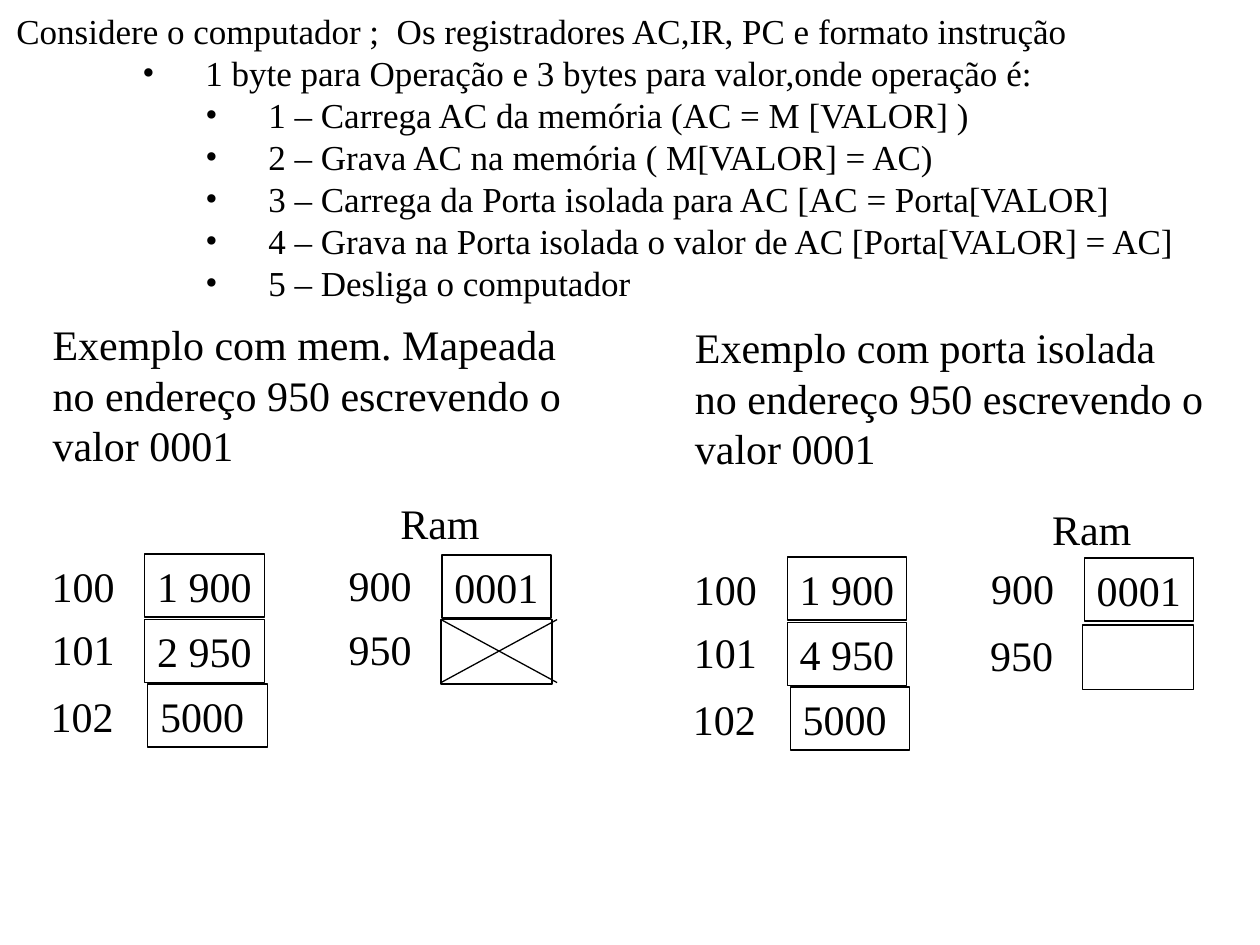
import pptx
import pptx.dml.color
import pptx.enum.shapes
import pptx.enum.text
import pptx.oxml
import pptx.oxml.ns
import pptx.util

Cm = pptx.util.Cm
SHAPES = pptx.enum.shapes.MSO_SHAPE
FONT = "Times New Roman"
INK, PAPER = "000000", "FFFFFF"

# Content: (level, text) for the instruction set
INSTRUCTIONS = [
    (0, "Considere o computador ;  Os registradores AC,IR, PC e formato instrução"),
    (2, "1 byte para Operação e 3 bytes para valor,onde operação é:"),
    (3, "1 – Carrega AC da memória (AC = M [VALOR] )"),
    (3, "2 – Grava AC na memória ( M[VALOR] = AC)"),
    (3, "3 – Carrega da Porta isolada para AC [AC = Porta[VALOR]"),
    (3, "4 – Grava na Porta isolada o valor de AC [Porta[VALOR] = AC]"),
    (3, "5 – Desliga o computador"),
]

# Each example: origin shift, then the places of its free parts, in cm
EXAMPLES = [
    {"title": "Exemplo com mem. Mapeada", "store": "2 950", "shift": (0, 0),
     "ram": (7.82, 9.89), "port_label": (6.78, 12.44), "port": (8.89, 12.49),
     "crossed": True},
    {"title": "Exemplo com porta isolada", "store": "4 950", "shift": (12.95, 0.06),
     "ram": (20.96, 10.02), "port_label": (19.71, 12.57), "port": (21.82, 12.6),
     "crossed": False},
]
TITLE_REST = ["no endereço 950 escrevendo o", "valor 0001"]

ROW_HEIGHT, LABEL_WIDTH = 1.27, 1.78
CELL_WIDTH, RAM_WIDTH = 2.41, 2.2
PORT_WIDTH, PORT_HEIGHT = 2.24, 1.3
CROSS_WIDTH = 2.34

deck = pptx.Presentation()
deck.slide_width, deck.slide_height = Cm(25.4), Cm(19.05)
page = deck.slides.add_slide(deck.slide_layouts[6])


def color(value):
    return pptx.dml.color.RGBColor.from_string(value)


def set_line(item):
    item.line.color.rgb = color(INK)
    item.line.width = pptx.util.Pt(0.75)


def write(box, lines, size=24, wrap=False):
    """Fill a box with left-aligned lines and return its paragraphs."""
    frame = box.text_frame
    formats = {
        "word_wrap": wrap,
        "auto_size": pptx.enum.text.MSO_AUTO_SIZE.SHAPE_TO_FIT_TEXT,
        "vertical_anchor": pptx.enum.text.MSO_ANCHOR.TOP,
        "margin_left": Cm(0.25), "margin_right": Cm(0.25),
        "margin_top": Cm(0.13), "margin_bottom": Cm(0.13),
    }
    for name, value in formats.items():
        setattr(frame, name, value)
    for number, text in enumerate(lines):
        para = frame.add_paragraph() if number else frame.paragraphs[0]
        para.alignment = pptx.enum.text.PP_ALIGN.LEFT
        span = para.add_run()
        span.text = text
        for name, value in {"name": FONT, "size": pptx.util.Pt(size)}.items():
            setattr(span.font, name, value)
        span.font.color.rgb = color(INK)
    return frame.paragraphs


def add_label(lines, left, top, width=LABEL_WIDTH, height=ROW_HEIGHT):
    box = page.shapes.add_textbox(Cm(left), Cm(top), Cm(width), Cm(height))
    write(box, lines)


def add_box(left, top, width, height):
    box = page.shapes.add_shape(SHAPES.RECTANGLE, Cm(left), Cm(top), Cm(width), Cm(height))
    box.shadow.inherit = False
    box.fill.background()
    set_line(box)
    return box


def add_stroke(left, top, right, bottom):
    stroke = page.shapes.add_connector(
        pptx.enum.shapes.MSO_CONNECTOR.STRAIGHT, Cm(left), Cm(top), Cm(right), Cm(bottom))
    set_line(stroke)
    effects = pptx.oxml.parse_xml(f"<a:effectLst {pptx.oxml.ns.nsdecls('a')}/>")
    stroke._element.spPr.append(effects)


def indent(para, level):
    """Hang the first line by 1.27 cm; bullet every level below the first."""
    para.level = level
    props = para._p.get_or_add_pPr()
    props.set("marL", str(Cm(1.27 * (level + 1))))
    props.set("indent", str(Cm(-1.27)))
    if level:
        names = pptx.oxml.ns.nsdecls("a")
        for bullet in (f'<a:buClr {names}><a:srgbClr val="{INK}"/></a:buClr>',
                       f'<a:buFont {names} typeface="{FONT}"/>',
                       f'<a:buChar {names} char="•"/>'):
            props.append(pptx.oxml.parse_xml(bullet))


# Instruction set
intro = add_box(0.08, 0.07, 25.27, 7.04)
intro.fill.solid()
intro.fill.fore_color.rgb = color(PAPER)
intro.line.fill.background()
paragraphs = write(intro, [text for _, text in INSTRUCTIONS], size=20, wrap=True)
for para, (level, _) in zip(paragraphs, INSTRUCTIONS):
    indent(para, level)

# The two examples
for example in EXAMPLES:
    across, down = example["shift"]
    add_label([example["title"], *TITLE_REST], 0.81 + across, 6.3 + down, 10.97, 3.3)

    # Memory rows: address, label place, value, cell place, cell width, wrap
    rows = [
        ("100", (0.79, 11.17), "1 900", (2.92, 11.17), CELL_WIDTH, False),
        ("101", (0.79, 12.44), example["store"], (2.92, 12.49), CELL_WIDTH, False),
        ("102", (0.77, 13.79), "5000", (2.98, 13.79), CELL_WIDTH, True),
        ("900", (6.78, 11.15), "0001", (8.91, 11.19), RAM_WIDTH, False),
    ]
    for address, label, value, cell, width, wrap in rows:
        add_label([address], label[0] + across, label[1] + down)
        box = add_box(cell[0] + across, cell[1] + down, width, ROW_HEIGHT)
        write(box, [value], wrap=wrap)

    # Port cell, crossed out when it is mapped in memory
    add_label(["950"], *example["port_label"])
    left, top = example["port"]
    add_box(left, top, PORT_WIDTH, PORT_HEIGHT)
    if example["crossed"]:
        right, bottom = left + CROSS_WIDTH, top + ROW_HEIGHT
        add_stroke(left, top, right, bottom)
        add_stroke(left, bottom, right, top)
    add_label(["Ram"], *example["ram"], width=2.11)

deck.save("out.pptx")
